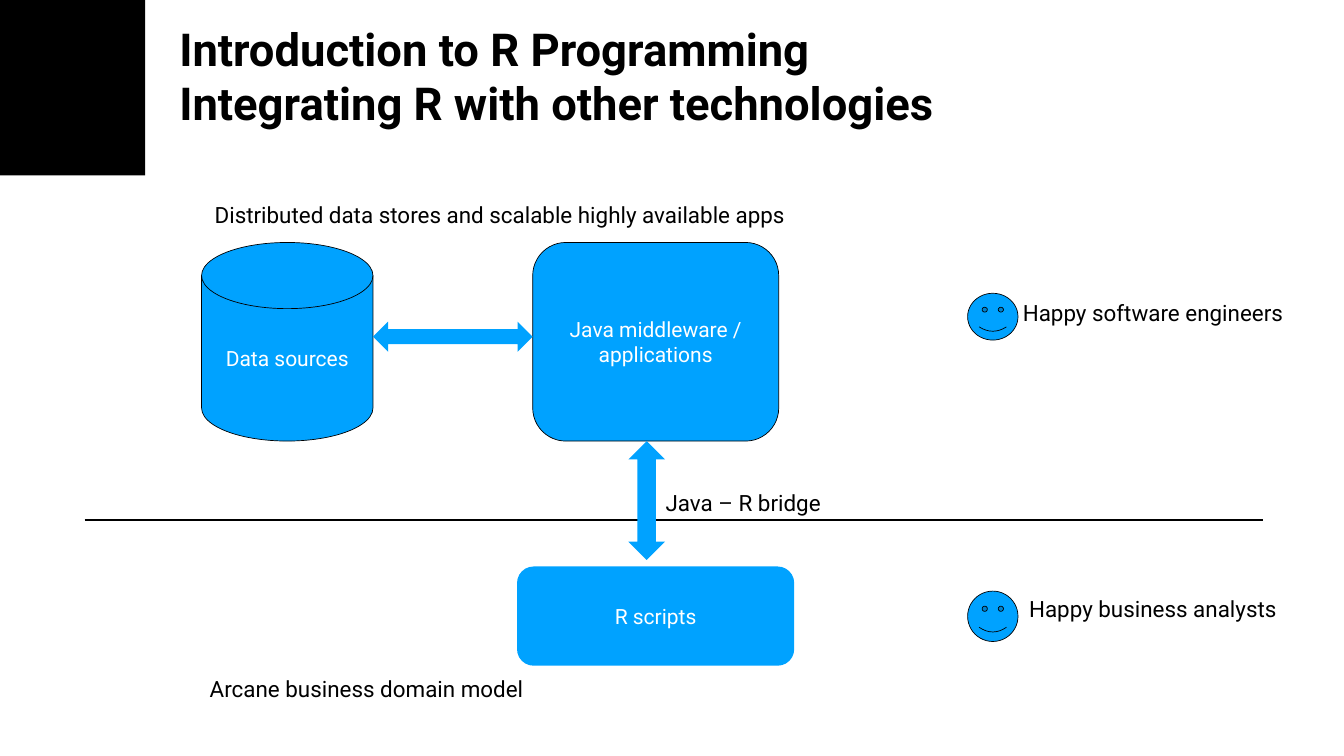
"""Build a slide on integrating R with other technologies."""
from dataclasses import dataclass
from typing import Optional

from lxml import etree
from pptx import Presentation
from pptx import util as u
from pptx.dml.color import RGBColor
from pptx.enum import shapes, text
from pptx.oxml.ns import qn

MSO = shapes.MSO_SHAPE


@dataclass(frozen=True)
class Theme:
    font: str = "Roboto"
    ink: RGBColor = RGBColor(0x00, 0x00, 0x00)
    accent: RGBColor = RGBColor(0x00, 0xA2, 0xFF)
    light: RGBColor = RGBColor(0xFF, 0xFF, 0xFF)
    title_size: float = 64.8
    label_size: float = 32
    node_size: float = 30
    outline: float = 1
    divider: float = 2
    inset: float = 0.2


@dataclass(frozen=True)
class Node:
    kind: MSO
    x: float
    y: float
    w: float
    h: float
    caption: str = ""
    outlined: bool = False
    fill: Optional[RGBColor] = None


@dataclass(frozen=True)
class Label:
    caption: str
    x: float
    y: float
    w: float


THEME = Theme()
LABEL_H = 1.78
TOP_Y, TOP_H = 12.22, 10.01
FACE_X, FACE_W = 48.77, 2.54
DIVIDER_Y = 26.21

NODES = [
    Node(MSO.RECTANGLE, 0, 0, 7.32, 8.84, fill=THEME.ink),
    Node(MSO.FLOWCHART_MAGNETIC_DISK, 10.16, TOP_Y, 8.64, TOP_H, "Data sources", True),
    Node(MSO.SMILEY_FACE, FACE_X, 14.78, FACE_W, 2.36, outlined=True),
    Node(MSO.ROUNDED_RECTANGLE, 26.85, TOP_Y, 12.4, TOP_H, "Java middleware / applications", True),
    Node(MSO.ROUNDED_RECTANGLE, 26.06, 28.55, 13.97, 5, "R scripts"),
    Node(MSO.SMILEY_FACE, FACE_X, 29.79, FACE_W, FACE_W, outlined=True),
]
ARROWS = [
    Node(MSO.UP_DOWN_ARROW, 31.67, TOP_Y + TOP_H, 1.85, 5.99),
    Node(MSO.LEFT_RIGHT_ARROW, 18.8, 16.21, 8.05, 1.52),
]
LABELS = [
    Label("Java – R bridge", 33.27, 24.46, 8.38),
    Label("Happy software engineers", 51.31, 14.86, 13.61),
    Label("Happy business analysts", 51.61, 29.79, 13),
    Label("Distributed data stores and scalable highly available apps", 10.52, 9.91, 29.36),
    Label("Arcane business domain model", 10.34, 33.83, 16.28),
]
TITLE = ["Introduction to R Programming", "Integrating R with other technologies"]


def set_frame(tf, anchor: text.MSO_ANCHOR, wrap: bool) -> None:
    """Set the insets, anchor and wrapping of a text frame."""
    tf.margin_left = tf.margin_right = tf.margin_top = tf.margin_bottom = u.Cm(THEME.inset)
    tf.vertical_anchor = anchor
    tf.word_wrap = wrap


def add_run(p, caption: str, size: float, color: RGBColor, bold: bool = False) -> None:
    """Append one formatted run to a paragraph."""
    r = p.add_run()
    r.text = caption
    r.font.name = THEME.font
    r.font.size = u.Pt(size)
    r.font.bold = bold
    r.font.color.rgb = color


def draw_node(s, node: Node) -> None:
    """Draw a filled shape with its caption, if it has one."""
    sp = s.shapes.add_shape(node.kind, *map(u.Cm, (node.x, node.y, node.w, node.h)))
    sp.shadow.inherit = False
    sp.fill.solid()
    sp.fill.fore_color.rgb = THEME.accent if node.fill is None else node.fill
    if node.outlined:
        sp.line.color.rgb = THEME.ink
        sp.line.width = u.Pt(THEME.outline)
    else:
        sp.line.fill.background()
    if node.caption:
        set_frame(sp.text_frame, text.MSO_ANCHOR.MIDDLE, True)
        p = sp.text_frame.paragraphs[0]
        p.alignment = text.PP_ALIGN.CENTER
        add_run(p, node.caption, THEME.node_size, THEME.light)


def draw_label(s, label: Label) -> None:
    """Draw a centred single-line label."""
    sp = s.shapes.add_textbox(*map(u.Cm, (label.x, label.y, label.w, LABEL_H)))
    set_frame(sp.text_frame, text.MSO_ANCHOR.MIDDLE, False)
    p = sp.text_frame.paragraphs[0]
    p.alignment = text.PP_ALIGN.CENTER
    add_run(p, label.caption, THEME.label_size, THEME.ink)


def draw_title(s) -> None:
    """Draw the two-line bold title."""
    sp = s.shapes.add_textbox(*map(u.Cm, (8.84, 0.86, 46.71, 6.38)))
    set_frame(sp.text_frame, text.MSO_ANCHOR.TOP, True)
    p = sp.text_frame.paragraphs[0]
    for i, line in enumerate(TITLE):
        if i:
            p.add_line_break()
        add_run(p, line, THEME.title_size, THEME.ink, True)


def draw_divider(s) -> None:
    """Draw the line between the engineering and business halves."""
    line = s.shapes.add_connector(
        shapes.MSO_CONNECTOR.STRAIGHT, *map(u.Cm, (4.27, DIVIDER_Y, 63.68, DIVIDER_Y)))
    line.line.color.rgb = THEME.ink
    line.line.width = u.Pt(THEME.divider)
    etree.SubElement(line._element.spPr, qn("a:effectLst"))


def main() -> None:
    """Build and save the slide."""
    prs = Presentation()
    prs.slide_width, prs.slide_height = u.Cm(67.74), u.Cm(38.1)
    s = prs.slides.add_slide(prs.slide_layouts[6])
    draw_title(s)
    for node in NODES:
        draw_node(s, node)
    draw_divider(s)
    for arrow in ARROWS:
        draw_node(s, arrow)
    for label in LABELS:
        draw_label(s, label)
    prs.save("out.pptx")


if __name__ == "__main__":
    main()
